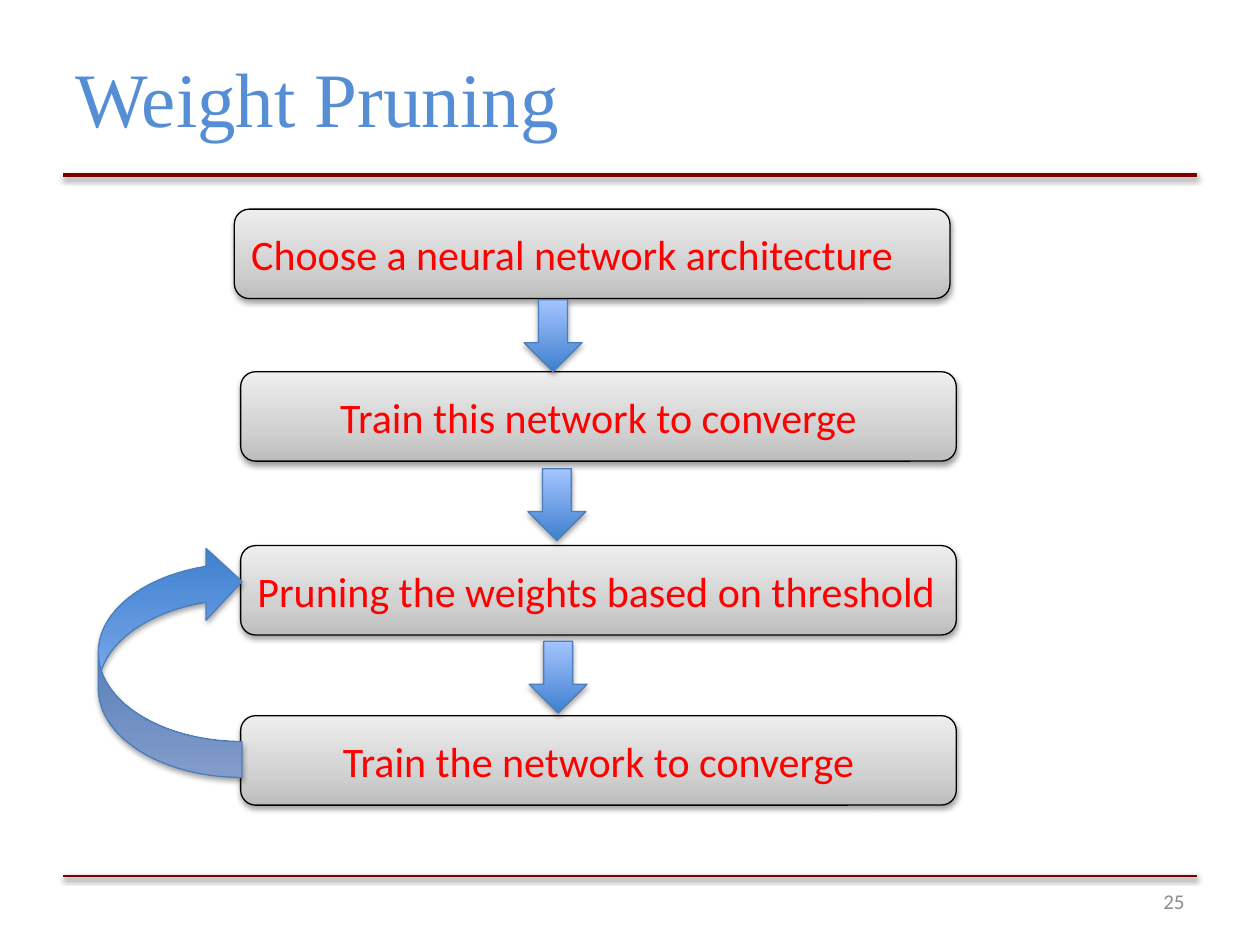
from lxml.etree import SubElement
from pptx import Presentation
from pptx.dml.color import RGBColor
from pptx.enum.shapes import MSO_CONNECTOR, MSO_SHAPE
from pptx.enum.text import MSO_ANCHOR, PP_ALIGN
from pptx.oxml.ns import qn
from pptx.util import Inches, Pt

COLORS = {
    "title": "558ED5", "rule": "800000", "number": "8C8C8C",
    "step_text": "FF0000", "step_line": "000000",
    "arrow_line": "4B7EBC", "shadow": "000000",
}
STEP_STOPS = [(0, "BDBDBD"), (35, "D1D1D1"), (100, "EEEEEE")]
ARROW_STOPS = [(0, "3F80CE"), (100, "A4C4FF")]


def rgb(name):
    return RGBColor.from_string(COLORS[name])


def add_shadow(item, opacity, distance):
    """Soft shadow straight below; call after fill and line are set."""
    effects = SubElement(item._element.spPr, qn("a:effectLst"))
    shadow = SubElement(effects, qn("a:outerShdw"), blurRad="40000",
                        dist=str(distance), dir="5400000", rotWithShape="0")
    color = SubElement(shadow, qn("a:srgbClr"), val=COLORS["shadow"])
    SubElement(color, qn("a:alpha"), val=str(opacity * 1000))


def fill_gradient(shape, stops):
    """Vertical gradient with the first stop at the bottom."""
    shape.fill.gradient()
    shape.fill.gradient_angle = 90
    stop_list = shape._element.spPr.find(qn("a:gradFill")).find(qn("a:gsLst"))
    for old_stop in list(stop_list):
        stop_list.remove(old_stop)
    for position, color in stops:
        stop = SubElement(stop_list, qn("a:gs"), pos=str(position * 1000))
        SubElement(stop, qn("a:srgbClr"), val=color)


def write_text(box, text, font, size, color, align):
    frame = box.text_frame
    frame.word_wrap = True
    frame.vertical_anchor = MSO_ANCHOR.MIDDLE
    para = frame.paragraphs[0]
    para.alignment = align
    span = para.add_run()
    span.text = text
    span.font.name = font
    span.font.size = Pt(size)
    span.font.color.rgb = rgb(color)


def add_label(page, left, top, width, height, *text_style):
    box = page.shapes.add_textbox(Inches(left), Inches(top),
                                  Inches(width), Inches(height))
    write_text(box, *text_style)


def add_rule(page, left, top, width, weight):
    rule = page.shapes.add_connector(
        MSO_CONNECTOR.STRAIGHT, Inches(left), Inches(top),
        Inches(left + width), Inches(top))
    rule.line.color.rgb = rgb("rule")
    rule.line.width = Pt(weight)
    add_shadow(rule, 38, 20000)


def add_block(page, kind, left, top, width, height, stops, line):
    block = page.shapes.add_shape(kind, Inches(left), Inches(top),
                                  Inches(width), Inches(height))
    fill_gradient(block, stops)
    block.line.color.rgb = rgb(line)
    block.line.width = Pt(0.75)
    return block


def add_step(page, left, top, text, align):
    step = add_block(page, MSO_SHAPE.ROUNDED_RECTANGULAR_CALLOUT,
                     left, top, 5.68, 0.71, STEP_STOPS, "step_line")
    # The callout tip rests on the top edge
    for index, value in enumerate((0.198, -0.5, 0.167)):
        step.adjustments[index] = value
    add_shadow(step, 38, 20000)
    write_text(step, text, "Calibri", 24, "step_text", align)


def add_arrow(page, kind, left, top, width, height, rotation=0):
    arrow = add_block(page, kind, left, top, width, height,
                      ARROW_STOPS, "arrow_line")
    arrow.rotation = rotation
    add_shadow(arrow, 35, 23000)


def add_frame(page, left, width):
    """Title, page number and the two rules."""
    add_rule(page, left, 1.39, width, 2)
    add_rule(page, left, 6.95, width, 1.25)
    add_label(page, left, 0.14, width, 1.25, "Weight Pruning",
              "Times New Roman", 44, "title", PP_ALIGN.LEFT)
    add_label(page, left + width - 2.33, 6.95, 2.33, 0.4, "25",
              "Calibri", 12, "number", PP_ALIGN.RIGHT)


def add_flow(page, left, top):
    """Four steps, the arrows between them and the loop back."""
    steps = [
        (1.08, 0, "Choose a neural network architecture", PP_ALIGN.LEFT),
        (1.13, 1.29, "Train this network to converge", PP_ALIGN.CENTER),
        (1.13, 2.67, "Pruning the weights based on threshold", PP_ALIGN.LEFT),
        (1.13, 4.02, "Train the network to converge", PP_ALIGN.CENTER),
    ]
    for x, y, text, align in steps:
        add_step(page, left + x, top + y, text, align)
    for x, y in [(3.38, 0.72), (3.41, 2.06), (3.42, 3.43)]:
        add_arrow(page, MSO_SHAPE.DOWN_ARROW, left + x, top + y, 0.46, 0.57)
    add_arrow(page, MSO_SHAPE.CURVED_LEFT_ARROW, left, top + 2.67,
              1.14, 1.84, rotation=180)


def main():
    deck = Presentation()
    deck.slide_width, deck.slide_height = Inches(10), Inches(7.5)
    page = deck.slides.add_slide(deck.slide_layouts[6])
    add_frame(page, 0.5, 9)
    add_flow(page, 0.78, 1.66)
    deck.save("out.pptx")


if __name__ == "__main__":
    main()
